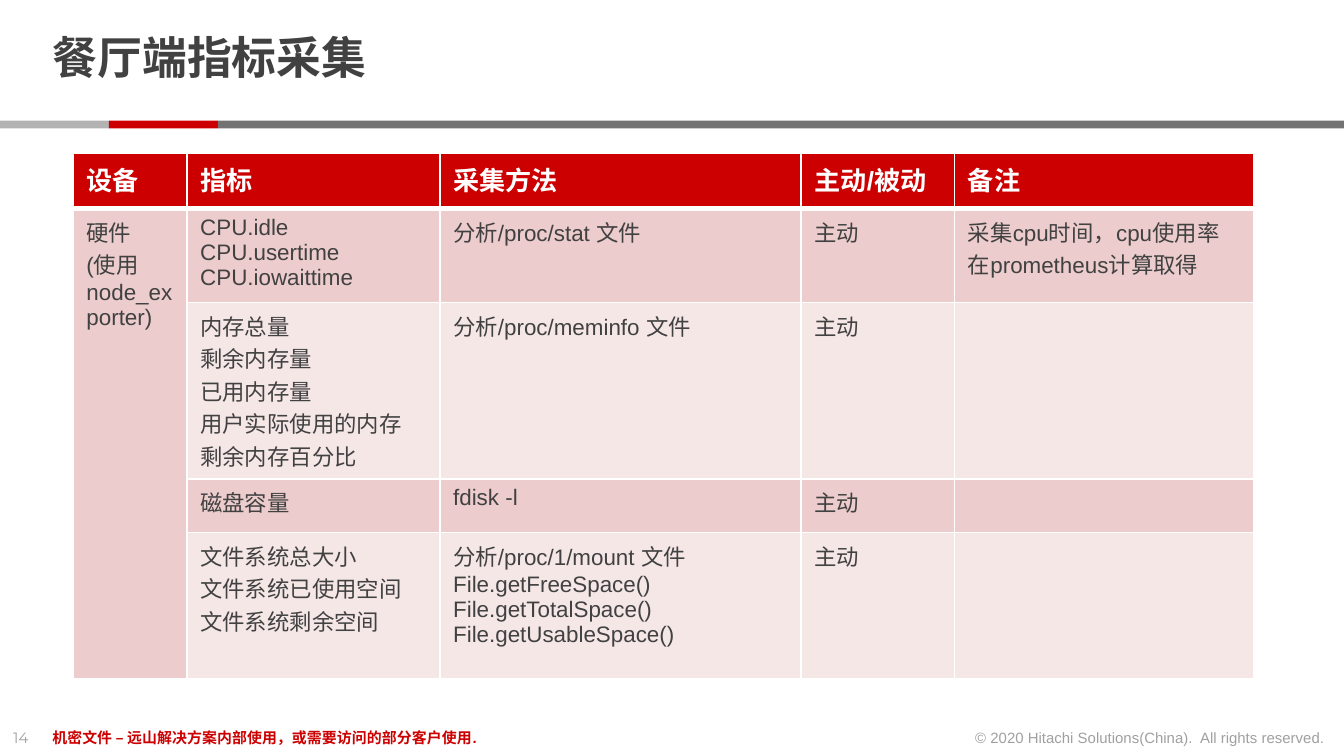
from lxml import etree
from pptx import Presentation
from pptx.dml.color import RGBColor
from pptx.enum import shapes, text
from pptx.oxml.ns import qn
from pptx.util import Cm, Pt

RED, WHITE, DARK, FADED = "CC0000", "FFFFFF", "414141", "A0A0A0"
BANDS = ["ECCCCC", "F6E7E7"]


def style(frame, size, color, bold=False, font="Arial"):
    for paragraph in frame.paragraphs:
        for run in paragraph.runs:
            run.font.name = font
            run.font.size = Pt(size)
            run.font.bold = bold
            run.font.color.rgb = RGBColor.from_string(color)


def add_borders(cell, bottom):
    """White lines on all sides; must run before the fill is set."""
    for side, width in (("L", 1), ("R", 1), ("T", 1), ("B", bottom)):
        line = etree.SubElement(cell._tc.get_or_add_tcPr(), qn(f"a:ln{side}"), w=str(Pt(width)))
        fill = etree.SubElement(line, qn("a:solidFill"))
        etree.SubElement(fill, qn("a:srgbClr"), val=WHITE)


prs = Presentation()
prs.slide_width, prs.slide_height = Cm(25.4), Cm(14.29)
slide = prs.slides.add_slide(prs.slide_layouts[5])

# Title
title = slide.shapes.title
title.left, title.top, title.width, title.height = Cm(0.74), Cm(0.13), Cm(19.58), Cm(2.03)
heading = title.text_frame
heading.text = "餐厅端指标采集"
heading.margin_top = heading.margin_bottom = 0
heading.vertical_anchor = text.MSO_ANCHOR.MIDDLE
heading.paragraphs[0].alignment = text.PP_ALIGN.LEFT
heading.paragraphs[0].line_spacing = 0.85
style(heading, 24, DARK, True, "Montserrat")

# Divider under the title
for left, width, color in ((0, 2.06, "B3B3B3"), (2.06, 2.06, RED), (4.12, 21.28, "737373")):
    stripe = slide.shapes.add_shape(
        shapes.MSO_SHAPE.RECTANGLE, Cm(left), Cm(2.28), Cm(width), Cm(0.15))
    stripe.shadow.inherit = False
    stripe.fill.solid()
    stripe.fill.fore_color.rgb = RGBColor.from_string(color)
    stripe.line.fill.background()

# Footer
LEFT, RIGHT = text.PP_ALIGN.LEFT, text.PP_ALIGN.RIGHT
footer = [
    (0, 0.86, "14", FADED, False, "Montserrat", LEFT),
    (0.74, 17.12, "机密文件 – 远山解决方案内部使用，或需要访问的部分客户使用.", RED, True, "Arial", LEFT),
    (18.08, 7.21, "© 2020 Hitachi Solutions(China).\u00a0 All rights reserved.", FADED, False, "Arial", RIGHT),
]
for left, width, words, color, bold, font, alignment in footer:
    note = slide.shapes.add_textbox(Cm(left), Cm(13.64), Cm(width), Cm(0.6)).text_frame
    note.word_wrap = True
    note.text = words
    note.paragraphs[0].alignment = alignment
    style(note, 8, color, bold, font)

# Metrics table
metrics = [
    ["设备", "指标", "采集方法", "主动/被动", "备注"],
    ["硬件\n(使用node_exporter)", "CPU.idle\nCPU.usertime\nCPU.iowaittime",
     "分析/proc/stat 文件", "主动", "采集cpu时间，cpu使用率在prometheus计算取得"],
    ["", "内存总量\n剩余内存量\n已用内存量\n用户实际使用的内存\n剩余内存百分比",
     "分析/proc/meminfo 文件", "主动", ""],
    ["", "磁盘容量", "fdisk -l", "主动", ""],
    ["", "文件系统总大小\n文件系统已使用空间\n文件系统剩余空间",
     "分析/proc/1/mount 文件\nFile.getFreeSpace()\nFile.getTotalSpace()\nFile.getUsableSpace()",
     "主动", ""],
]
widths = [2.15, 4.78, 6.83, 2.9, 5.66]
heights = [1.04, 1.67, 3.33, 1.02, 2.76]
table = slide.shapes.add_table(
    len(heights), len(widths), Cm(1.38), Cm(2.9), Cm(sum(widths)), Cm(sum(heights))).table
for column, width in zip(table.columns, widths):
    column.width = Cm(width)
for r, (row, height) in enumerate(zip(metrics, heights)):
    table.rows[r].height = Cm(height)
    header = r == 0
    for c, words in enumerate(row):
        cell = table.cell(r, c)
        add_borders(cell, 3 if header else 1)
        cell.fill.solid()
        band = RED if header else BANDS[0 if c == 0 else (r - 1) % 2]
        cell.fill.fore_color.rgb = RGBColor.from_string(band)
        cell.text_frame.text = words
        style(cell.text_frame, 14 if header else 12, WHITE if header else DARK, header)
table.cell(1, 0).merge(table.cell(4, 0))

prs.save("out.pptx")
